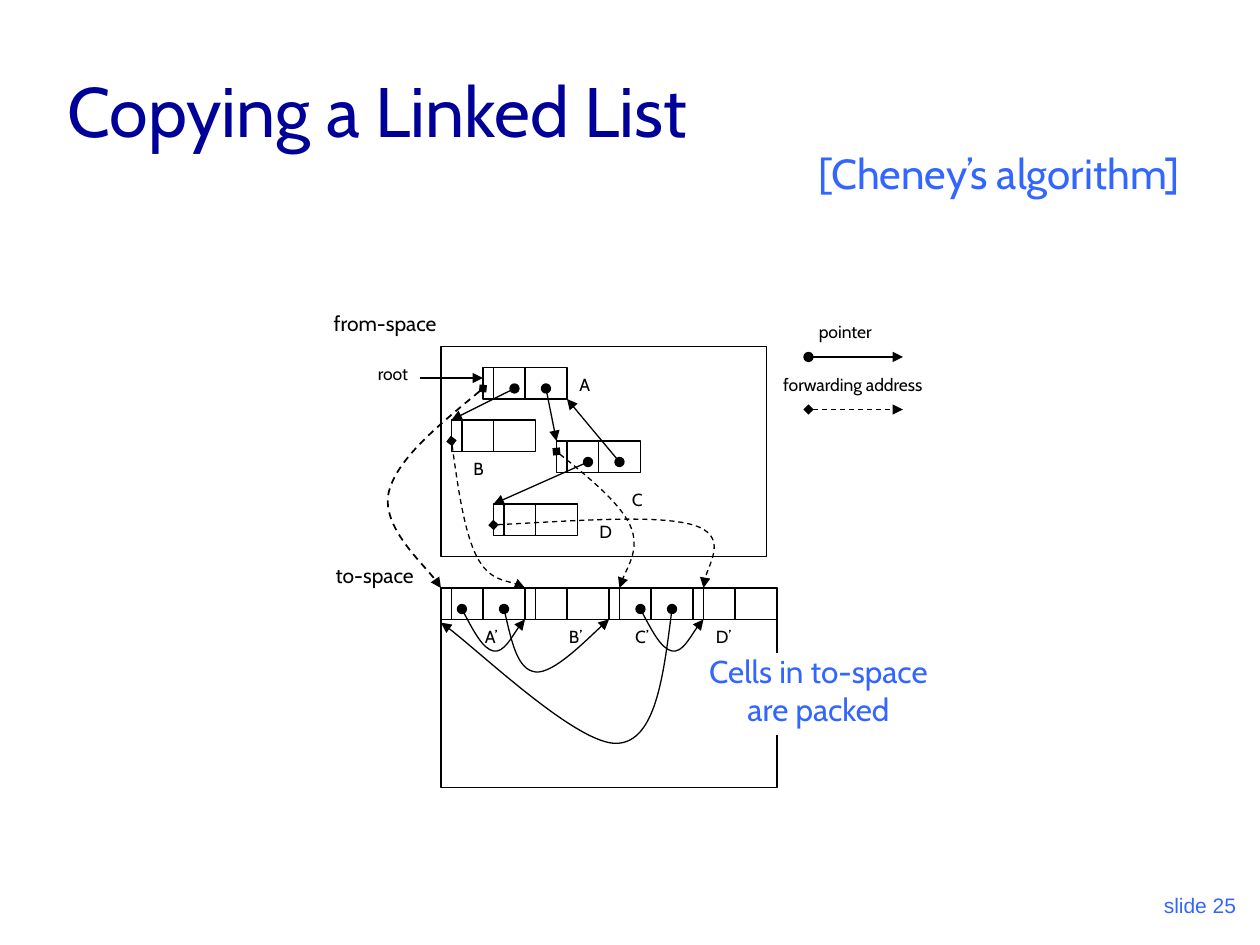
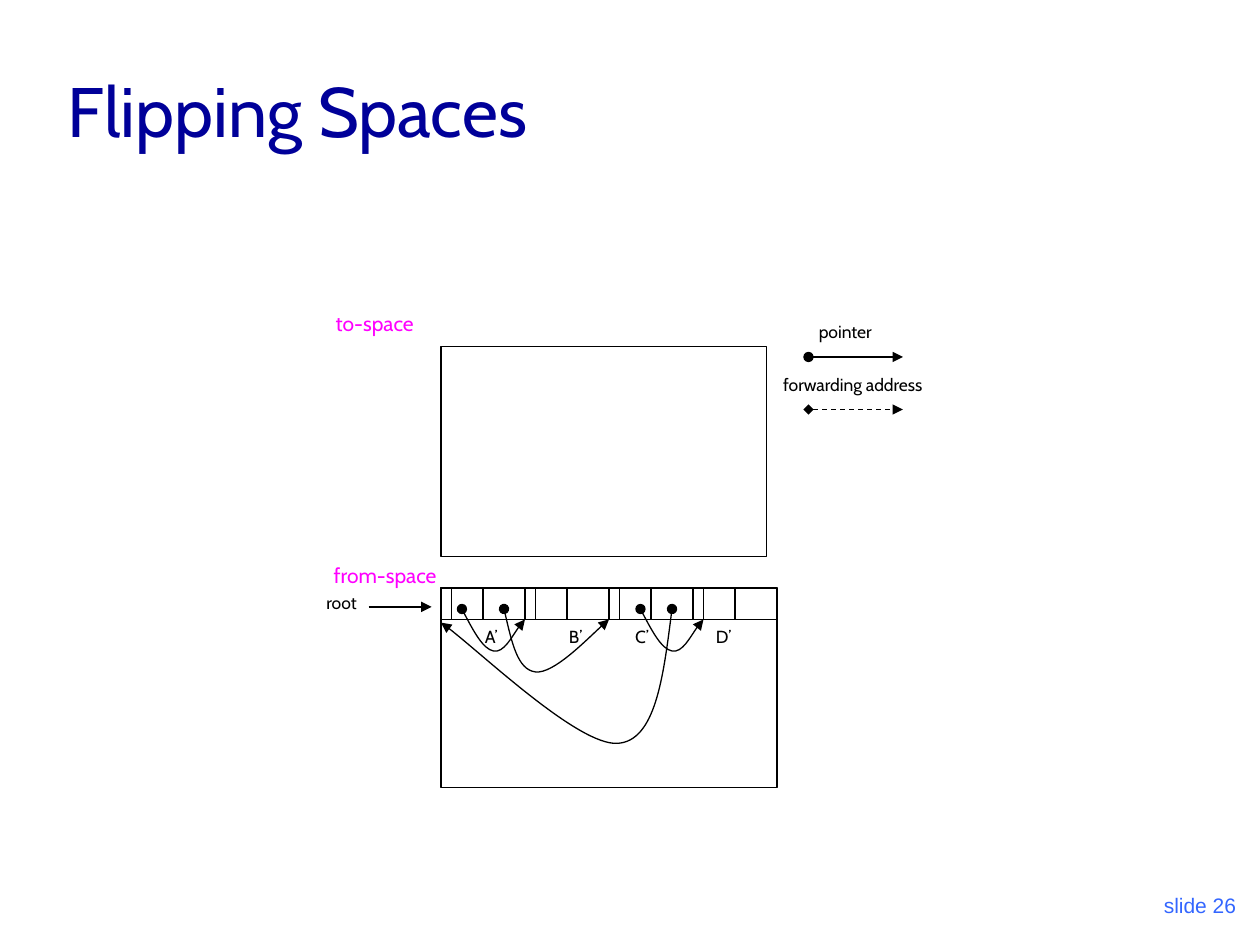
import dataclasses

import pptx
import pptx.dml.color
import pptx.enum.dml
import pptx.enum.shapes
import pptx.enum.text
import pptx.oxml.ns
import pptx.oxml.xmlchemy
import pptx.util

SHAPE = pptx.enum.shapes.MSO_SHAPE
ALIGN = pptx.enum.text.PP_ALIGN
ANCHOR = pptx.enum.text.MSO_ANCHOR
STEP = 2.54 / 12  # diagram grid, in centimetres


@dataclasses.dataclass(frozen=True)
class Theme:
    font: str = "Cabin"
    plain: str = "Arial"
    ink: str = "000000"
    paper: str = "FFFFFF"
    navy: str = "000099"
    blue: str = "3366FF"
    pink: str = "FF00FF"
    title: int = 40
    remark: int = 24
    note: int = 18
    name: int = 12
    label: int = 10
    thin: float = 0.75
    thick: float = 1


THEME = Theme()


def paint(code):
    return pptx.dml.color.RGBColor.from_string(code)


def element(tag):
    return pptx.oxml.xmlchemy.OxmlElement(tag)


class Pane:
    """Draws on a slide or group, measuring from its own corner and unit."""

    def __init__(self, owner, left=0, top=0, unit=1):
        self.shapes = owner.shapes
        self.left, self.top, self.unit = left, top, unit

    def size(self, *values):
        return [pptx.util.Cm(value * self.unit) for value in values]

    def point(self, x, y):
        return self.size(self.left + x, self.top + y)

    def text(self, words, x, y, width, height=3.2, size=THEME.label,
             color=THEME.ink, font=THEME.font, align=ALIGN.LEFT,
             anchor=ANCHOR.TOP, fill=None, wrap=False):
        box = self.shapes.add_textbox(*self.point(x, y),
                                      *self.size(width, height))
        if fill:
            box.fill.solid()
            box.fill.fore_color.rgb = paint(fill)
        frame = box.text_frame
        frame.word_wrap = wrap
        frame.vertical_anchor = anchor
        frame.text = words
        for part in frame.paragraphs:
            part.alignment = align
            for run in part.runs:
                run.font.name = font
                run.font.size = pptx.util.Pt(size)
                run.font.color.rgb = paint(color)
        return frame

    def rect(self, x, y, width, height):
        shape = self.shapes.add_shape(
            SHAPE.RECTANGLE, *self.point(x, y), *self.size(width, height))
        shape.shadow.inherit = False
        shape.fill.background()
        stroke(shape)

    def line(self, start, end, **style):
        link = self.shapes.add_connector(
            pptx.enum.shapes.MSO_CONNECTOR.STRAIGHT,
            *self.point(*start), *self.point(*end))
        stroke(link, **style)
        link._element.spPr.append(element("a:effectLst"))

    def curve(self, points, **style):
        """Draw a cubic curve: a start, then three points per piece."""
        start, *rest = [self.point(*point) for point in points]
        maker = self.shapes.build_freeform(*start)
        maker.add_line_segments(rest, close=False)
        shape = maker.convert_to_shape()
        shape.shadow.inherit = False
        shape.fill.background()
        stroke(shape, **style)
        track = next(shape._element.iter(pptx.oxml.ns.qn("a:path")))
        legs = track.findall(pptx.oxml.ns.qn("a:lnTo"))
        for index, leg in enumerate(legs):
            if index % 3 == 0:
                bend = element("a:cubicBezTo")
                track.append(bend)
            bend.append(leg[0])
            track.remove(leg)

    def cell(self, x, y):
        """Draw a heap cell: a header and two fields."""
        part = Pane(self.shapes.add_group_shape(),
                    self.left + x, self.top + y, self.unit)
        part.rect(0, 0, 8, 3)
        for split in (1, 4):
            part.line((split, 0), (split, 3))


def stroke(shape, head=None, tail=None, dash=False, width=THEME.thin):
    line = shape.line
    line.color.rgb = paint(THEME.ink)
    line.width = pptx.util.Pt(width)
    if dash:
        line.dash_style = pptx.enum.dml.MSO_LINE.DASH
    for tag, kind in (("a:headEnd", head), ("a:tailEnd", tail)):
        if kind:
            end = element(tag)
            end.set("type", kind)
            line._ln.append(end)


ARROW = {"tail": "triangle"}
POINTER = {"head": "oval", **ARROW}
FORWARD = {"head": "diamond", "dash": True, **ARROW}

CELLS = {  # cell corner, label corner
    "A": ((4, 2), (12, 2)),
    "B": ((1, 7), (1.9, 10)),
    "C": ((11, 9), (17, 13)),
    "D": ((5, 15), (13.9, 16)),
}
LINKS = [
    ((10, 4), (11, 9)),
    ((7, 4), (1, 7)),
    ((14, 11), (5, 15)),
    ((17, 11), (12, 5)),
]
MOVES = [
    [(4, 4), (-0.1, 7.4), (-4.3, 10.8), (-5, 14),
     (-5.6, 17.2), (-0.8, 21.5), (0, 23)],
    [(1, 9), (1.6, 13.3), (2.2, 17.6), (3.4, 20),
     (4.6, 22.3), (7.2, 22.4), (8, 23)],
    [(11, 10), (14, 12.4), (17, 14.9), (18, 17),
     (19, 19.2), (17.2, 22), (17, 23)],
    [(5, 17), (12.8, 16.6), (20.6, 16), (24, 17),
     (27.4, 18), (24.8, 22), (25, 23)],
]
COPIES = {"A’": 3, "B’": 11, "C’": 17.3, "D’": 25}
HOP = [(2, 2), (3, 3.9), (4, 5.8), (5, 6), (6, 6.2), (7.4, 3.5), (8, 3)]
LOOPS = [
    HOP,
    [(6, 2), (6.7, 5), (7.3, 7.8), (9, 8), (10.7, 8.2), (14.9, 3.9), (16, 3)],
    [(x + 17, y) for x, y in HOP],
    [(22, 2), (21.2, 8.3), (20.4, 14.6), (16.8, 14.8),
     (13.1, 15), (2.8, 5.2), (0, 3.3)],
]


def frame(deck, title, number):
    """Add a slide with its title and footer."""
    slide = deck.slides.add_slide(deck.slide_layouts[6])
    page = Pane(slide)
    page.text(title, 1.12, 0.64, 21.59, 2.54, THEME.title, THEME.navy,
              anchor=ANCHOR.BOTTOM, wrap=True)
    page.text(f"slide {number}", 19.89, 17.35, 5.28, 1.27, THEME.name,
              THEME.blue, THEME.plain, ALIGN.RIGHT, ANCHOR.BOTTOM, wrap=True)
    return slide


def name(pane, words, y, color):
    x, width = {"from-space": (-11.4, 13), "to-space": (-11.2, 10.3)}[words]
    pane.text(words, x, y, width, 3.6, THEME.name, color)


def root(pane, x, y):
    pane.text("root", x, y, 5.6)
    pane.line((x + 5.2, y + 2), (x + 11.2, y + 2), **ARROW)


def legend(pane):
    rows = (("pointer", 3.4, 8, POINTER),
            ("forwarding address", 0, 17.6, FORWARD))
    for row, (words, x, width, style) in enumerate(rows):
        y = 5 * row
        pane.text(words, x, y, width)
        pane.line((3.6, y + 4), (12.6, y + 4), **style)


def upper(pane, words, color):
    pane.rect(0, 0, 31, 20)
    name(pane, words, -4, color)


def lower(pane, words, color):
    """Draw the space that holds the packed cells."""
    pane.rect(0, 0, 32, 19)
    name(pane, words, -3, color)
    for index, (label, x) in enumerate(COPIES.items()):
        pane.cell(8 * index, 0)
        pane.text(label, x, 3, 4)
    for loop in LOOPS:
        pane.curve(loop, **POINTER)


def heap(pane):
    """Draw the scattered cells and where they move."""
    for label, (corner, spot) in CELLS.items():
        pane.cell(*corner)
        pane.text(label, *spot, 3.5)
    for start, end in LINKS:
        pane.line(start, end, **POINTER)
    for index, move in enumerate(MOVES):
        width = THEME.thin if index else THEME.thick
        pane.curve(move, width=width, **FORWARD)


def spaces(slide, names, color):
    """Draw both spaces and the legend, and return the two panes."""
    above = Pane(slide, 42, 33, STEP)
    below = Pane(slide, 42, 56, STEP)
    upper(above, names[0], color)
    lower(below, names[1], color)
    legend(Pane(slide, 73.4, 30, STEP))
    return above, below


def copying(deck):
    slide = frame(deck, "Copying a Linked List", 25)
    Pane(slide).text("[Cheney’s algorithm]", 16.26, 2.84, 8.71, 1.27,
                     THEME.remark, THEME.blue, fill=THEME.paper)
    above, below = spaces(slide, ("from-space", "to-space"), THEME.ink)
    heap(above)
    root(above, -7.2, 1)
    note = below.text("Cells in to-space\nare packed", 23.4, 6.2, 25.1, 7.8,
                      THEME.note, THEME.blue, align=ALIGN.CENTER,
                      fill=THEME.paper)
    for part in note.paragraphs:
        part.line_spacing = 0.8
    note.paragraphs[1].space_before = pptx.util.Pt(4.5)


def flipping(deck):
    slide = frame(deck, "Flipping Spaces", 26)
    _, below = spaces(slide, ("to-space", "from-space"), THEME.pink)
    root(below, -12.1, -0.2)


def main():
    deck = pptx.Presentation()
    deck.slide_width = pptx.util.Cm(25.4)
    deck.slide_height = pptx.util.Cm(19.05)
    copying(deck)
    flipping(deck)
    deck.save("out.pptx")


if __name__ == "__main__":
    main()
